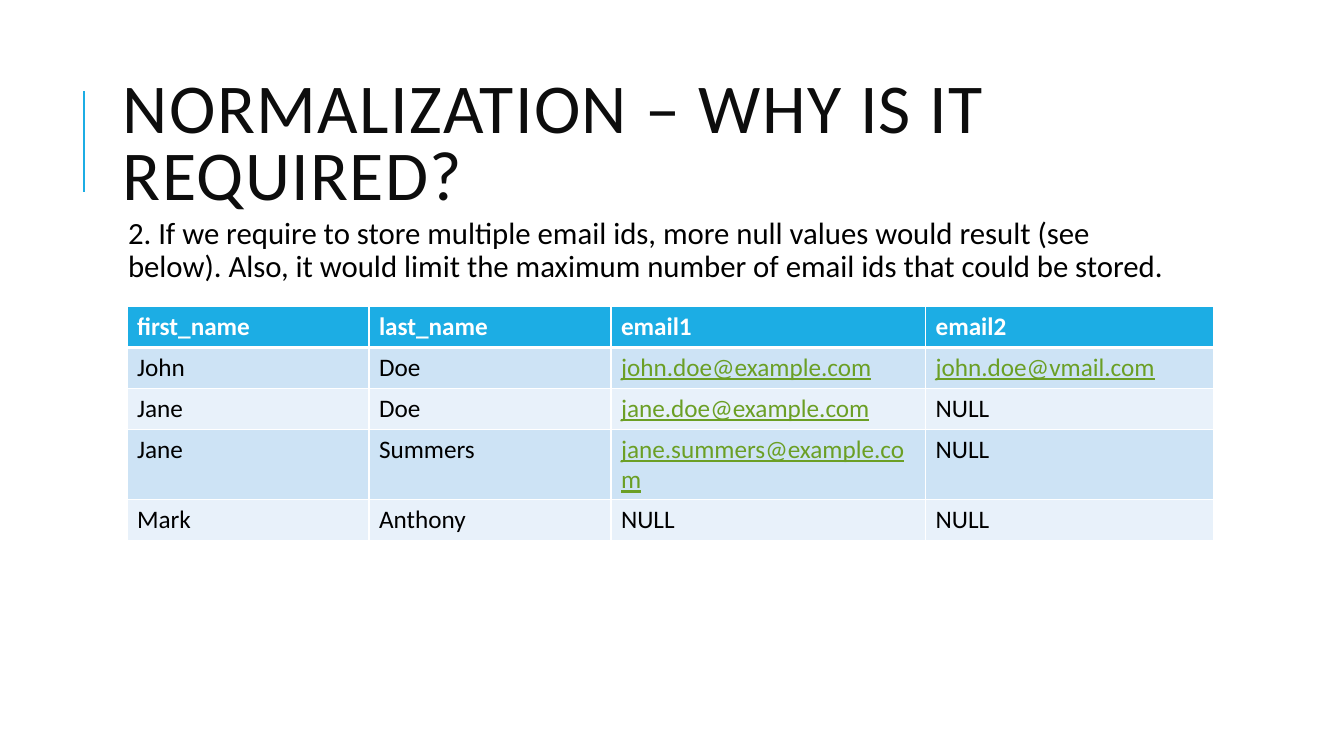
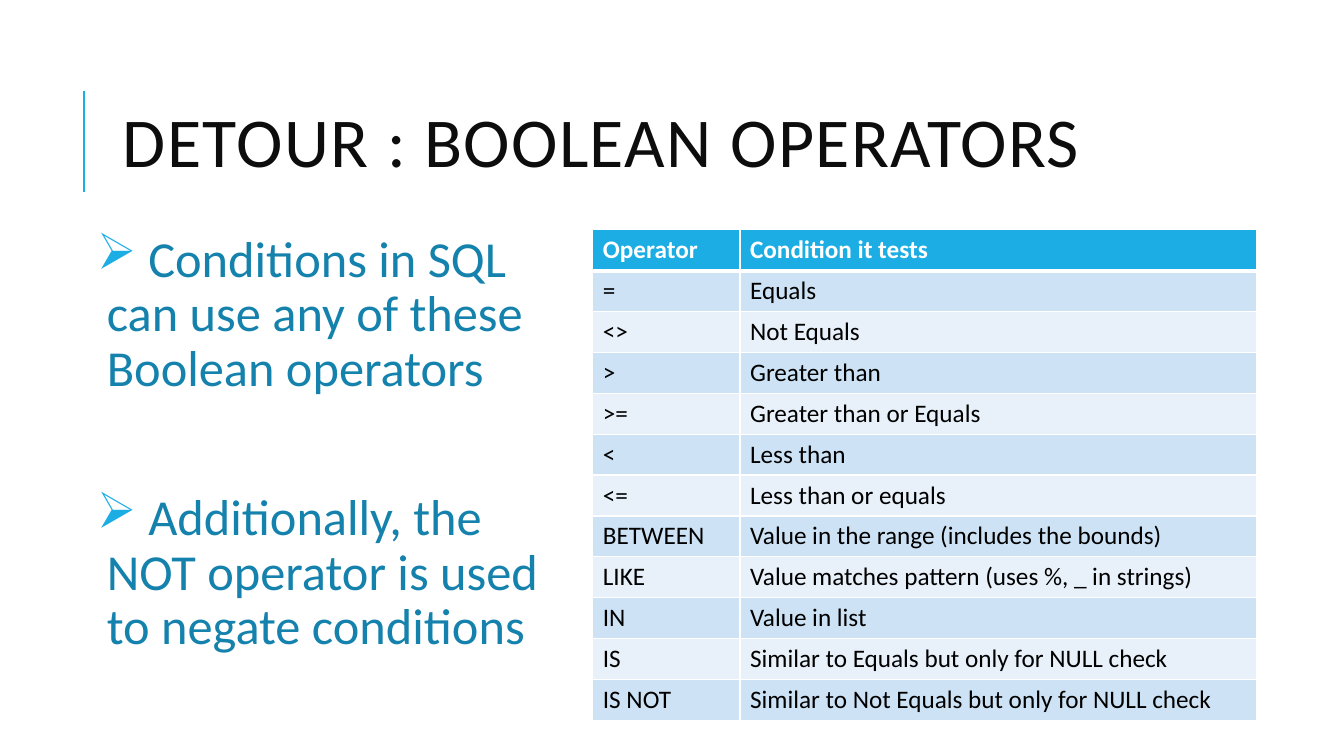
"""Build two slides on normalization and Boolean operators."""
from dataclasses import dataclass

from lxml import etree
from pptx import Presentation
from pptx.dml.color import RGBColor
from pptx.enum.shapes import MSO_CONNECTOR
from pptx.enum.text import MSO_ANCHOR
from pptx.oxml.ns import qn
from pptx.util import Pt

PX = 9144
STRAIGHT = MSO_CONNECTOR.STRAIGHT
TOP, MIDDLE = MSO_ANCHOR.TOP, MSO_ANCHOR.MIDDLE
BLANK_LAYOUT = 6


@dataclass(frozen=True)
class Theme:
    """Colours, font and type sizes shared by the slides."""

    font: str = "Calibri"
    accent: str = "1CADE4"
    statement: str = "1482AC"
    title: str = "0D0D0D"
    text: str = "000000"
    white: str = "FFFFFF"
    link: str = "6B9F25"
    bands: tuple = ("CDE3F5", "E8F1FA")
    title_size: int = 50
    statement_size: int = 36
    body_size: int = 22
    table_size: int = 18


THEME = Theme()

EMAIL_ROWS = [
    ("first_name", "last_name", "email1", "email2"),
    ("John", "Doe", "john.doe@example.com", "john.doe@vmail.com"),
    ("Jane", "Doe", "jane.doe@example.com", "NULL"),
    ("Jane", "Summers", "jane.summers@example.com", "NULL"),
    ("Mark", "Anthony", "NULL", "NULL"),
]

OPERATOR_ROWS = [
    ("Operator", "Condition it tests"),
    ("=", "Equals"),
    ("<>", "Not Equals"),
    (">", "Greater than"),
    (">=", "Greater than or Equals"),
    ("<", "Less than"),
    ("<=", "Less than or equals"),
    ("BETWEEN", "Value in the range (includes the bounds)"),
    ("LIKE", "Value matches pattern (uses %, _ in strings)"),
    ("IN", "Value in list"),
    ("IS", "Similar to Equals but only for NULL check"),
    ("IS NOT", "Similar to Not Equals but only for NULL check"),
]


def px(*lengths):
    """Turn pixel lengths into EMU."""
    return [length * PX for length in lengths]


def add_run(paragraph, text, size, color, bold=False, underline=False):
    """Add one formatted run to a paragraph and return it."""
    run = paragraph.add_run()
    run.text = text
    run.font.name = THEME.font
    run.font.size = Pt(size)
    run.font.bold = bold
    run.font.underline = underline
    run.font.color.rgb = RGBColor.from_string(color)
    return run


def add_text_frame(slide, box, anchor, inset):
    """Add a wrapping text box and return its text frame."""
    frame = slide.shapes.add_textbox(*px(*box)).text_frame
    frame.word_wrap = True
    frame.vertical_anchor = anchor
    frame.margin_left = frame.margin_right = inset * PX
    frame.margin_top = frame.margin_bottom = inset * PX
    return frame


def add_accent_line(slide):
    """Draw the vertical line beside the title."""
    line = slide.shapes.add_connector(STRAIGHT, *px(83, 190, 83, 90))
    line.line.color.rgb = RGBColor.from_string(THEME.accent)
    line.line.width = Pt(1.5)
    etree.SubElement(line._element.spPr, qn("a:effectLst"))


def add_titled_slide(presentation, title):
    """Add a slide with the shared accent line and title."""
    slide = presentation.slides.add_slide(presentation.slide_layouts[BLANK_LAYOUT])
    add_accent_line(slide)
    frame = add_text_frame(slide, (112, 64, 1063, 164), MIDDLE, 10)
    paragraph = frame.paragraphs[0]
    paragraph.line_spacing = 0.8
    run = add_run(paragraph, title, THEME.title_size, THEME.title)
    run.font._element.set("spc", "100")
    return slide


def set_bullet(paragraph, character):
    """Give a paragraph an accent-coloured hanging bullet."""
    properties = paragraph._p.get_or_add_pPr()
    properties.set("indent", str(-10 * PX))
    color = etree.SubElement(properties, qn("a:buClr"))
    etree.SubElement(color, qn("a:srgbClr")).set("val", THEME.accent)
    etree.SubElement(properties, qn("a:buChar")).set("char", character)


def add_body(slide, box, texts, size, color, bullet=None, gap=0):
    """Add body paragraphs, with an optional bullet and a gap between them."""
    frame = add_text_frame(slide, box, TOP, 5)
    for index, text in enumerate(texts):
        paragraph = frame.add_paragraph() if index else frame.paragraphs[0]
        paragraph._p.get_or_add_pPr().set("marL", str(10 * PX))
        if bullet:
            set_bullet(paragraph, bullet)
        paragraph.line_spacing = 0.9
        paragraph.space_after = Pt(2)
        if index:
            paragraph.space_before = Pt(gap)
        add_run(paragraph, text, size, color)


def set_borders(cell, top, bottom):
    """Draw white cell borders, with given top and bottom widths in points."""
    properties = cell._tc.get_or_add_tcPr()
    for side, width in (("L", 1), ("R", 1), ("T", top), ("B", bottom)):
        line = etree.SubElement(properties, qn(f"a:ln{side}"))
        line.set("w", str(Pt(width)))
        fill = etree.SubElement(line, qn("a:solidFill"))
        etree.SubElement(fill, qn("a:srgbClr")).set("val", THEME.white)


def fill_cell(cell, text, row_index):
    """Write and style a header or banded body cell."""
    header = row_index == 0
    link = "@" in text
    set_borders(cell, 3 if row_index == 1 else 1, 3 if header else 1)
    cell.fill.solid()
    background = THEME.accent if header else THEME.bands[(row_index - 1) % 2]
    cell.fill.fore_color.rgb = RGBColor.from_string(background)
    color = THEME.white if header else THEME.link if link else THEME.text
    add_run(cell.text_frame.paragraphs[0], text, THEME.table_size, color, header, link)


def add_banded_table(slide, left, top, height, column_widths, rows):
    """Add a table with a header row, banded body and equal row heights."""
    box = px(left, top, sum(column_widths), height)
    table = slide.shapes.add_table(len(rows), len(column_widths), *box).table
    table.first_row = table.horz_banding = False
    for column, width in zip(table.columns, column_widths):
        column.width = width * PX
    for row_index, row in enumerate(rows):
        for column_index, text in enumerate(row):
            fill_cell(table.cell(row_index, column_index), text, row_index)


def build_normalization(presentation):
    """Build the slide on why normalization is required."""
    slide = add_titled_slide(presentation, "NORMALIZATION – WHY IS IT REQUIRED?")
    reason = (
        "2. If we require to store multiple email ids, more null values would result "
        "(see below). Also, it would limit the maximum number of email ids that "
        "could be stored."
    )
    add_body(slide, (112, 211, 1063, 440), [reason], THEME.body_size, THEME.text)
    add_banded_table(slide, 126, 304, 203, (240, 240, 312, 286), EMAIL_ROWS)


def build_operators(presentation):
    """Build the slide on Boolean operators."""
    slide = add_titled_slide(presentation, "DETOUR : BOOLEAN OPERATORS")
    statements = [
        " Conditions in SQL can use any of these Boolean operators",
        " Additionally, the NOT operator is used to negate conditions",
    ]
    add_body(slide, (91, 227, 459, 440), statements, THEME.statement_size,
             THEME.statement, bullet="➢", gap=66)
    add_banded_table(slide, 588, 228, 487, (146, 512), OPERATOR_ROWS)


def main():
    """Build and save the presentation."""
    presentation = Presentation()
    presentation.slide_width, presentation.slide_height = px(1333, 750)
    build_normalization(presentation)
    build_operators(presentation)
    presentation.save("out.pptx")


if __name__ == "__main__":
    main()
